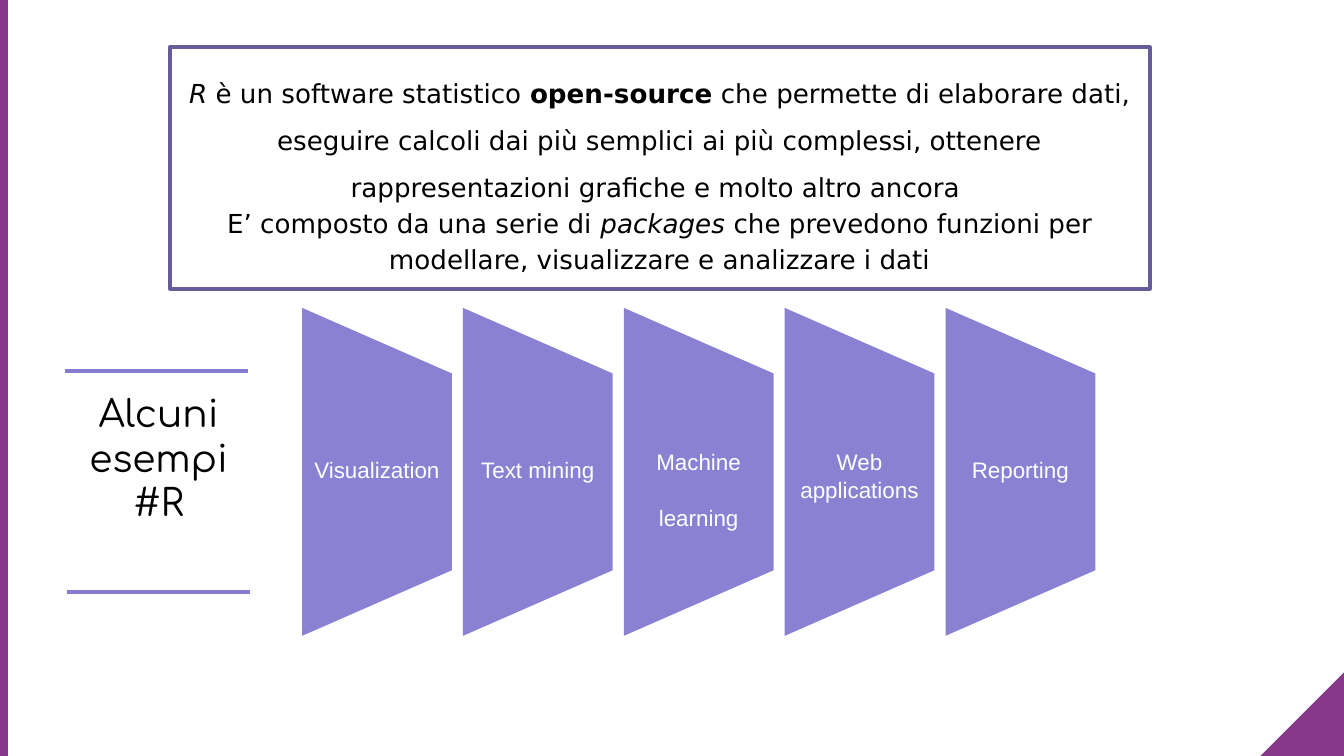
from dataclasses import dataclass

from lxml import etree
from pptx import Presentation
from pptx import util as u
from pptx.dml.color import RGBColor
from pptx.enum import shapes, text
from pptx.oxml import ns

PURPLE, FRAME, LILAC, RULE = "873989", "645D9A", "8A81D2", "857BCF"
BLACK, WHITE = "000000", "FFFFFF"
SLIDE_W, SLIDE_H = 25.4, 14.29


@dataclass
class Span:
    words: str
    bold: bool = False
    italic: bool = False


@dataclass
class Example:
    lines: list[str]
    width: float
    top: float = 8.59
    height: float = 0.58
    inset: float = 0.03
    spacing: float = 1.0


def rgb(hex_code: str) -> RGBColor:
    return RGBColor.from_string(hex_code)


def add_polygon(points: list[tuple[float, float]], color: str) -> None:
    corners = [(u.Cm(x), u.Cm(y)) for x, y in points]
    builder = slide.shapes.build_freeform(*corners[0])
    builder.add_line_segments(corners[1:], close=True)
    polygon = builder.convert_to_shape()
    polygon.shadow.inherit = False
    polygon.fill.solid()
    polygon.fill.fore_color.rgb = rgb(color)
    polygon.line.fill.background()


def add_rule(x1: float, y1: float, x2: float, y2: float, color: str, width: float) -> None:
    rule = slide.shapes.add_connector(
        shapes.MSO_CONNECTOR.STRAIGHT, u.Cm(x1), u.Cm(y1), u.Cm(x2), u.Cm(y2))
    rule.line.color.rgb = rgb(color)
    rule.line.width = u.Pt(width)
    etree.SubElement(rule.element.spPr, ns.qn("a:effectLst"))


def prepare_frame(frame, anchor, top_inset: float = 0) -> None:
    frame.word_wrap = True
    frame.vertical_anchor = anchor
    frame.margin_left = frame.margin_right = frame.margin_bottom = 0
    frame.margin_top = u.Cm(top_inset)


def add_run(paragraph, span: Span, font: str, size: float, color: str) -> None:
    run = paragraph.add_run()
    run.text = span.words
    run.font.name = font
    run.font.size = u.Pt(size)
    run.font.bold = span.bold
    run.font.italic = span.italic
    run.font.color.rgb = rgb(color)


def next_paragraph(frame, index: int, spacing: float = 1.0):
    paragraph = frame.add_paragraph() if index else frame.paragraphs[0]
    paragraph.alignment = text.PP_ALIGN.CENTER
    paragraph.line_spacing = spacing
    return paragraph


def add_example(example: Example, left: float) -> None:
    right, bottom = left + TRAPEZOID_W, TRAPEZOID_TOP + TRAPEZOID_H
    add_polygon([(left, TRAPEZOID_TOP), (left, bottom),
                 (right, bottom - SLANT), (right, TRAPEZOID_TOP + SLANT)], LILAC)
    label_left = left + (TRAPEZOID_W - example.width) / 2
    label = slide.shapes.add_textbox(u.Cm(label_left), u.Cm(example.top),
                                     u.Cm(example.width), u.Cm(example.height))
    prepare_frame(label.text_frame, text.MSO_ANCHOR.TOP, example.inset)
    for i, line in enumerate(example.lines):
        paragraph = next_paragraph(label.text_frame, i, example.spacing)
        paragraph.space_before = u.Pt(15 if i else 0)
        add_run(paragraph, Span(line), "Arial", 12, WHITE)


presentation = Presentation()
presentation.slide_width, presentation.slide_height = u.Cm(SLIDE_W), u.Cm(SLIDE_H)
slide = presentation.slides.add_slide(presentation.slide_layouts[6])

# Page decoration: corner triangle and left edge
CORNER = 1.58
add_polygon([(SLIDE_W, SLIDE_H - CORNER), (SLIDE_W - CORNER, SLIDE_H),
             (SLIDE_W, SLIDE_H)], PURPLE)
add_rule(0.08, 0, 0.08, SLIDE_H, PURPLE, 4.32)

# Framed introduction
INTRODUCTION = [
    (1.5, [Span("R", italic=True), Span(" è un software statistico "),
           Span("open-source", bold=True),
           Span(" che permette di elaborare dati, eseguire calcoli dai più semplici "
                "ai più complessi, ottenere rappresentazioni grafiche e molto altro ancora ")]),
    (1.15, [Span("E’ composto da una serie di "), Span("packages ", italic=True),
            Span("che prevedono funzioni per modellare, visualizzare e analizzare i dati")]),
]
introduction = slide.shapes.add_shape(
    shapes.MSO_SHAPE.RECTANGLE, u.Cm(3.21), u.Cm(0.89), u.Cm(18.52), u.Cm(4.57))
introduction.shadow.inherit = False
introduction.fill.background()
introduction.line.color.rgb = rgb(FRAME)
introduction.line.width = u.Pt(1.92)
prepare_frame(introduction.text_frame, text.MSO_ANCHOR.MIDDLE)
for i, (spacing, spans) in enumerate(INTRODUCTION):
    paragraph = next_paragraph(introduction.text_frame, i, spacing)
    for span in spans:
        add_run(paragraph, span, "DejaVu Sans", 14, BLACK)

# Row of examples
TRAPEZOID_LEFT, TRAPEZOID_TOP, PITCH = 5.71, 5.82, 3.04
TRAPEZOID_W, TRAPEZOID_H, SLANT = 2.83, 6.2, 1.24
TALL = dict(top=8.36, height=1.02, inset=0.1, spacing=1.04)
EXAMPLES = [
    Example(["Visualization"], 2.46),
    Example(["Text mining"], 2.21),
    Example(["Machine", "learning"], 1.68, **TALL),
    Example(["Web applications"], 2.34, **TALL),
    Example(["Reporting"], 1.93),
]
for i, example in enumerate(EXAMPLES):
    add_example(example, TRAPEZOID_LEFT + i * PITCH)

# Heading between two rules
heading = slide.shapes.add_textbox(u.Cm(1.63), u.Cm(7.34), u.Cm(2.74), u.Cm(3.45))
prepare_frame(heading.text_frame, text.MSO_ANCHOR.TOP, 0.03)
heading_line = next_paragraph(heading.text_frame, 0)
add_run(heading_line, Span("Alcuni esempi"), "Comfortaa", 20, BLACK)
heading_line.add_line_break()
add_run(heading_line, Span("#R"), "Comfortaa", 20, BLACK)
for left, top in [(1.27, 11.2), (1.22, 7.01)]:
    add_rule(left, top, left + 3.46, top, RULE, 2.16)

presentation.save("out.pptx")
